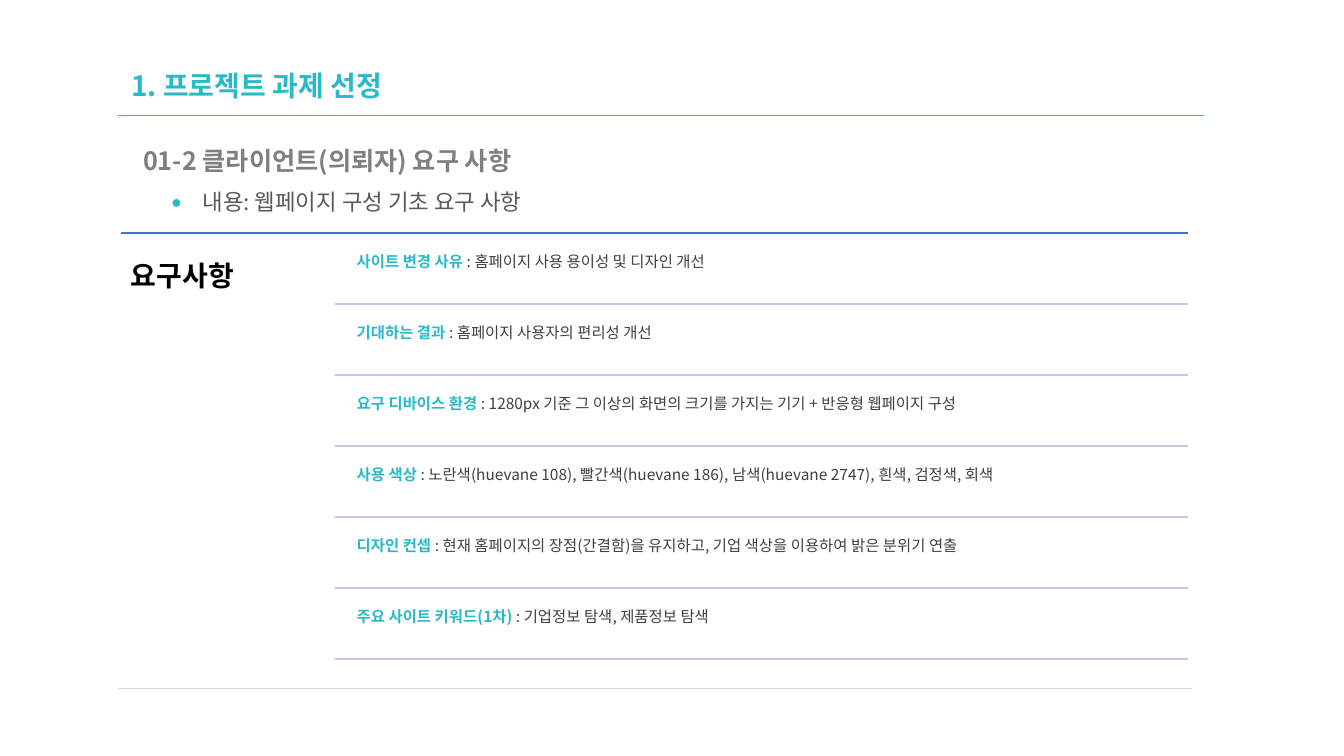
from lxml import etree
from pptx import Presentation
from pptx.dml.color import RGBColor
from pptx.enum.shapes import MSO_CONNECTOR
from pptx.enum.text import MSO_ANCHOR, MSO_AUTO_SIZE
from pptx.oxml.ns import qn
from pptx.util import Cm, Pt

LINE = MSO_CONNECTOR.STRAIGHT
TOP, MID = MSO_ANCHOR.TOP, MSO_ANCHOR.MIDDLE
FIXED = MSO_AUTO_SIZE.NONE

# Content
TITLE = "1. 프로젝트 과제 선정"
HEAD = "01-2 클라이언트(의뢰자) 요구 사항"
BODY = "내용: 웹페이지 구성 기초 요구 사항"
LABEL = "요구사항"
NEEDS = [
    ("사이트 변경 사유 ", ": 홈페이지 사용 용이성 및 디자인 개선"),
    ("기대하는 결과 ", ": 홈페이지 사용자의 편리성 개선"),
    ("요구 디바이스 환경 ",
     ": 1280px 기준 그 이상의 화면의 크기를 가지는 기기 + 반응형 웹페이지 구성"),
    ("사용 색상 ",
     ": 노란색(huevane 108), 빨간색(huevane 186), 남색(huevane 2747), 흰색, 검정색, 회색"),
    ("디자인 컨셉 ",
     ": 현재 홈페이지의 장점(간결함)을 유지하고, 기업 색상을 이용하여 밝은 분위기 연출"),
    ("주요 사이트 키워드(1차) ", ": 기업정보 탐색, 제품정보 탐색"),
]


class Theme:
    font = "Noto Sans CJK KR"
    teal, grey, text, dark = "2AB9C7", "7F7F7F", "595959", "404040"
    black, blue, pale, foot = "000000", "4472C4", "C1C9E4", "D9D9D9"
    title, head, body, label, need = 20, 18, 16, 20, 11
    thin, rule = 0.5, 1


# Row grid, in cm
LEFT, RIGHT = 3.05, 29.95
ROW_X, ROW_Y, STEP = 8.43, 5.87, 1.79
TEXT_X, TEXT_W, TEXT_H, PAD = 8.74, 18.7, 1.17, 0.35


def rgb(code):
    return RGBColor.from_string(code)


def style(para, size, color=None, bold=False):
    font = para.font
    font.name, font.size, font.bold = Theme.font, Pt(size), bold
    if color:
        font.color.rgb = rgb(color)
    props = para._p.pPr.find(qn("a:defRPr"))
    latin = props.find(qn("a:latin"))
    east = etree.Element(qn("a:ea"), typeface=Theme.font)
    latin.addnext(east)


def place(shape, x, y, w, h, anchor=TOP):
    shape.left, shape.top, shape.width, shape.height = Cm(x), Cm(y), Cm(w), Cm(h)
    frame = shape.text_frame
    frame.word_wrap, frame.auto_size = True, FIXED
    frame.vertical_anchor = anchor
    return frame.paragraphs[0]


def fill(para, text):
    para.text = text
    para.line_spacing = 0.9
    para.space_before = Pt(0)


def bullet(para, char, color, size):
    props = para._p.get_or_add_pPr()
    props.set("marL", str(Cm(0.79)))
    props.set("indent", str(-Cm(0.79)))
    tint = etree.SubElement(props, qn("a:buClr"))
    etree.SubElement(tint, qn("a:srgbClr"), val=color)
    etree.SubElement(props, qn("a:buSzPct"), val=str(size * 1000))
    etree.SubElement(props, qn("a:buChar"), char=char)


def rule(slide, x, end, y, color, width):
    line = slide.shapes.add_connector(LINE, Cm(x), Cm(y), Cm(end), Cm(y))
    line.line.color.rgb = rgb(color)
    line.line.width = Pt(width)
    etree.SubElement(line._element.spPr, qn("a:effectLst"))


def box(slide, x, y, w, h):
    return place(slide.shapes.add_textbox(0, 0, 0, 0), x, y, w, h)


def main():
    deck = Presentation()
    deck.slide_width, deck.slide_height = Cm(33.87), Cm(19.05)
    slide = deck.slides.add_slide(deck.slide_layouts[7])
    holders = slide.placeholders

    # Page rules
    rule(slide, 2.97, 30.33, 2.9, Theme.teal, Theme.thin)
    rule(slide, 2.97, 30.05, 17.35, Theme.foot, Theme.thin)

    # Title, heading and bullet
    para = place(slide.shapes.title, LEFT, 1.59, 27.38, 1.24, MID)
    fill(para, TITLE)
    style(para, Theme.title, Theme.teal, True)

    para = place(holders[2], 3.35, 3.63, 27.08, 0.86)
    fill(para, HEAD)
    style(para, Theme.head, Theme.grey, True)

    para = place(holders[1], 4.06, 4.7, 26.37, 0.86)
    fill(para, BODY)
    bullet(para, "●", Theme.teal, 80)
    style(para, Theme.body, Theme.text)

    # Requirement rows
    rule(slide, LEFT, RIGHT, ROW_Y, Theme.blue, Theme.rule)
    for i, (name, detail) in enumerate(NEEDS):
        y = ROW_Y + i * STEP
        para = box(slide, TEXT_X, y + PAD, TEXT_W, TEXT_H)
        for text, color, bold in ((name, Theme.teal, True),
                                  (detail, Theme.dark, False)):
            run = para.add_run()
            run.text = text
            run.font.bold = bold
            run.font.color.rgb = rgb(color)
        style(para, Theme.need)
        rule(slide, ROW_X, RIGHT, y + STEP, Theme.pale, Theme.rule)

    # Section label
    para = box(slide, LEFT, 6.4, 3.53, 1.02)
    para.text = LABEL
    style(para, Theme.label, Theme.black, True)

    deck.save("out.pptx")


if __name__ == "__main__":
    main()
